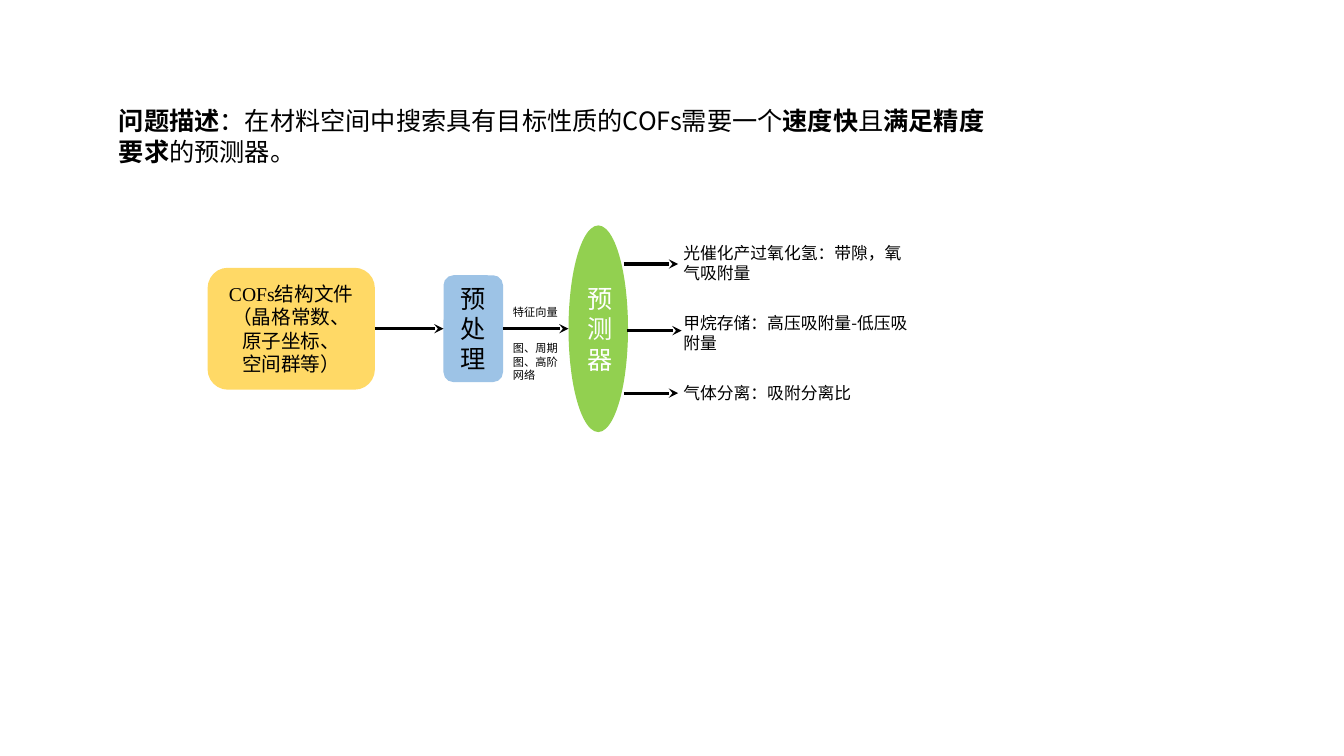
import pptx
import pptx.util
import pptx.dml.color
import pptx.enum.shapes
import pptx.enum.text
import pptx.oxml
import pptx.oxml.ns

Pt = pptx.util.Pt
Shape = pptx.enum.shapes.MSO_SHAPE
Align = pptx.enum.text.PP_ALIGN
SANS, SERIF = "Noto Sans CJK SC", "Times New Roman"
COLORS = {"black": "000000", "white": "FFFFFF", "green": "92D050",
          "yellow": "FFD966", "blue": "9DC3E6"}

HEADLINE = [[("问题描述", True), ("：在材料空间中搜索具有目标性质的COFs需要一个", False),
             ("速度快", True), ("且", False), ("满足精度要求", True), ("的预测器。", False)]]
STRUCTURE = ["COFs结构文件（晶格常数、", "原子坐标、", "空间群等）"]
FEATURES = [("特征向量", 214.6, 17.3), ("图、周期图、高阶网络", 240.5, 36)]
OUTPUTS = [
    ("光催化产过氧化氢：带隙，氧气吸附量", 169.9, 36, 445.7, 188.6),
    ("甲烷存储：高压吸附量-低压吸附量", 219.6, 36, 448.2, 236.2),
    ("气体分离：吸附分离比", 270, 21.6, 445.7, 280.8),
]
FLOW_MIDDLE = 234.8
STAGE_WIDTH = 42.5
STRUCTURE_LEFT, PREPROCESS_LEFT, PREDICTOR_LEFT = 148.3, 316.8, 406.1
PREPROCESS_RIGHT = PREPROCESS_LEFT + STAGE_WIDTH
OUTPUT_LEFT, OUTPUT_WIDTH, OUTPUT_ARROW = 481, 179.3, 38.7


def rgb(name):
    return pptx.dml.color.RGBColor.from_string(COLORS[name])


def write(frame, paragraphs, size, font=SANS, color="black", align=Align.LEFT):
    frame.word_wrap = True
    for index, content in enumerate(paragraphs):
        para = frame.paragraphs[0] if index == 0 else frame.add_paragraph()
        para.alignment = align
        spans = [(content, False)] if isinstance(content, str) else content
        for text, bold in spans:
            span = para.add_run()
            span.text = text
            span.font.size = Pt(size)
            span.font.bold = bold
            span.font.name = font
            span.font.color.rgb = rgb(color)
            east = pptx.oxml.parse_xml(
                f'<a:ea {pptx.oxml.ns.nsdecls("a")} typeface="{SANS}"/>')
            span.font._element.find(pptx.oxml.ns.qn("a:latin")).addnext(east)


def add_label(page, paragraphs, left, top, width, height, size):
    box = page.shapes.add_textbox(Pt(left), Pt(top), Pt(width), Pt(height))
    write(box.text_frame, paragraphs, size)
    box.text_frame.auto_size = pptx.enum.text.MSO_AUTO_SIZE.SHAPE_TO_FIT_TEXT


def add_stage(page, kind, paragraphs, left, width, height, fill, size, **style):
    stage = page.shapes.add_shape(kind, Pt(left), Pt(FLOW_MIDDLE - height / 2),
                                  Pt(width), Pt(height))
    stage.shadow.inherit = False
    stage.fill.solid()
    stage.fill.fore_color.rgb = rgb(fill)
    stage.line.fill.background()
    stage.text_frame.vertical_anchor = pptx.enum.text.MSO_ANCHOR.MIDDLE
    write(stage.text_frame, paragraphs, size, align=Align.CENTER, **style)
    return stage


def add_arrow(page, left, right, middle):
    arrow = page.shapes.add_connector(pptx.enum.shapes.MSO_CONNECTOR.STRAIGHT,
                                      Pt(left), Pt(middle), Pt(right), Pt(middle))
    arrow.line.width = Pt(2.25)
    arrow.line.color.rgb = rgb("black")
    names = pptx.oxml.ns.nsdecls("a")
    arrow.line._get_or_add_ln().append(
        pptx.oxml.parse_xml(f'<a:tailEnd {names} type="stealth"/>'))
    arrow._element.spPr.append(pptx.oxml.parse_xml(f"<a:effectLst {names}/>"))
    return arrow


def main():
    deck = pptx.Presentation()
    deck.slide_width, deck.slide_height = Pt(960), Pt(540)
    page = deck.slides.add_slide(deck.slide_layouts[6])

    add_label(page, HEADLINE, 77.8, 72, 645.8, 51.1, 18)
    add_stage(page, Shape.OVAL, ["预测器"], PREDICTOR_LEFT, STAGE_WIDTH, 147.6,
              "green", 18, color="white")
    structure = add_stage(page, Shape.ROUNDED_RECTANGLE, STRUCTURE, STRUCTURE_LEFT,
                          119.5, 87.1, "yellow", 14, font=SERIF)
    preprocess = add_stage(page, Shape.ROUNDED_RECTANGLE, ["预处理"], PREPROCESS_LEFT,
                           STAGE_WIDTH, 76.3, "blue", 18)

    into_preprocess = add_arrow(page, STRUCTURE_LEFT, PREPROCESS_LEFT, FLOW_MIDDLE)
    into_preprocess.begin_connect(structure, 3)
    into_preprocess.end_connect(preprocess, 1)
    into_predictor = add_arrow(page, PREPROCESS_RIGHT, PREDICTOR_LEFT, FLOW_MIDDLE)
    into_predictor.begin_connect(preprocess, 3)

    for text, top, height in FEATURES:
        add_label(page, [text], PREPROCESS_RIGHT, top,
                  PREDICTOR_LEFT - PREPROCESS_RIGHT, height, 8)
    for text, top, height, arrow_left, arrow_middle in OUTPUTS:
        add_label(page, [text], OUTPUT_LEFT, top, OUTPUT_WIDTH, height, 12)
        add_arrow(page, arrow_left, arrow_left + OUTPUT_ARROW, arrow_middle)

    deck.save("out.pptx")


if __name__ == "__main__":
    main()
